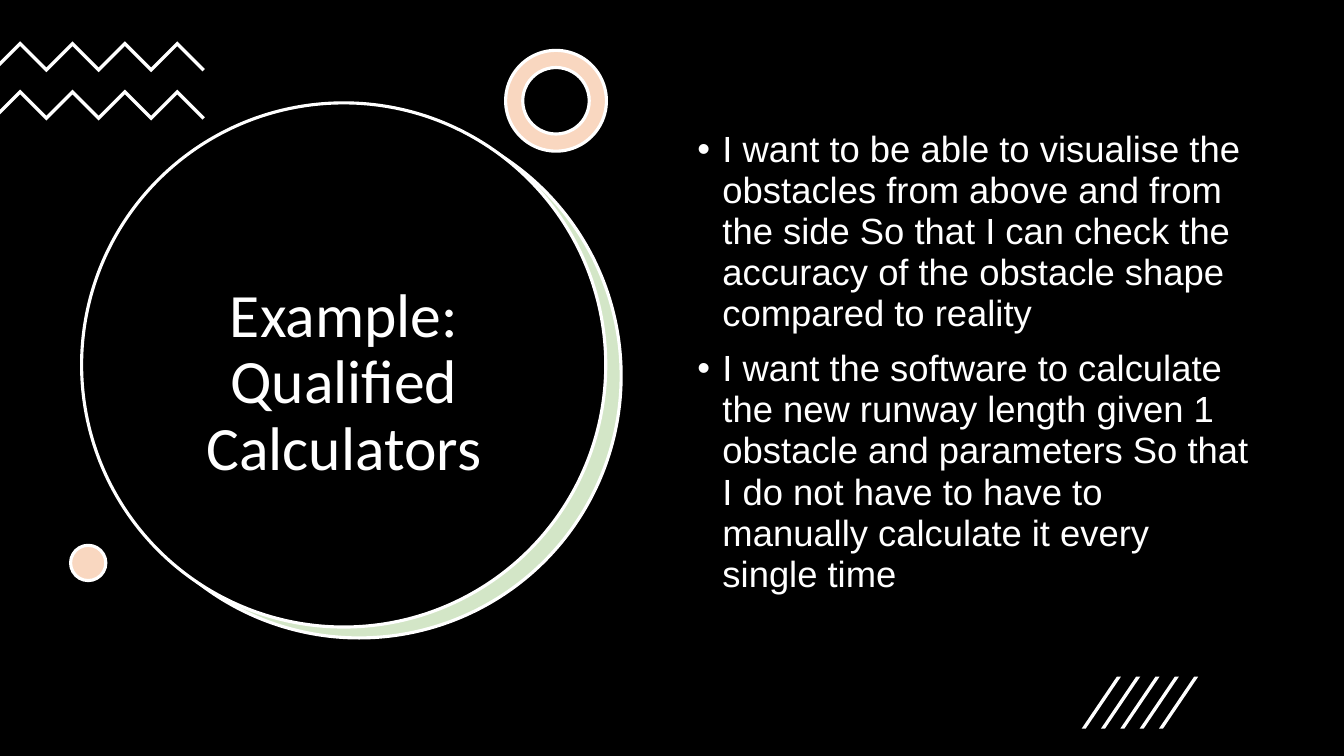
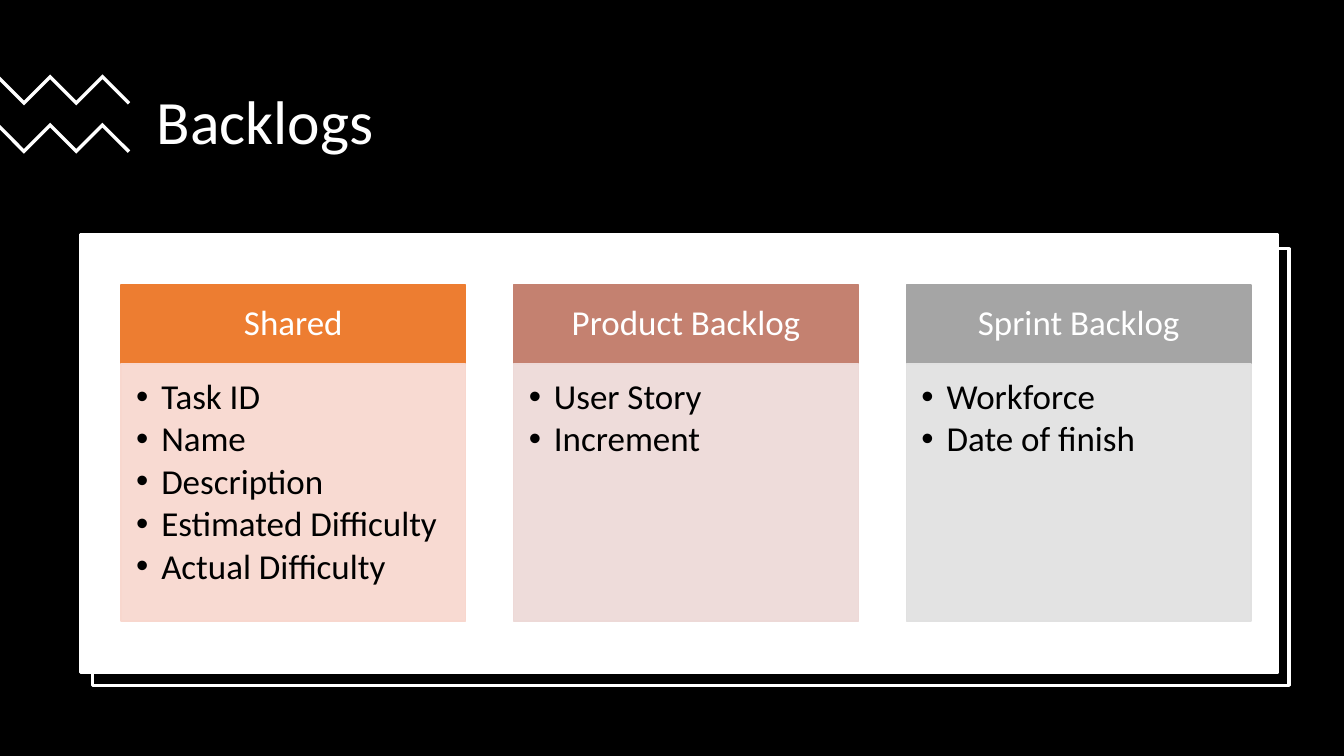
from dataclasses import dataclass

from lxml import etree
from pptx import Presentation, slide as sld, util as u
from pptx.dml import color
from pptx.enum import shapes, text
from pptx.oxml import ns
from pptx.shapes import autoshape as auto

Pt = u.Pt
KIND = shapes.MSO_SHAPE
HEX = {
    "black": "000000", "white": "FFFFFF", "green": "70AD47",
    "orange": "ED7D31", "peach": "F8D7CE", "clay": "C48170",
    "rose": "EDD9D7", "gray": "A5A5A5", "silver": "E1E1E1",
}
EDGE = 2.25


@dataclass(frozen=True)
class Box:
    left: float
    top: float
    width: float
    height: float


@dataclass(frozen=True)
class Style:
    size: float
    font: str = "Calibri"
    tone: str = "white"
    align: text.PP_ALIGN = text.PP_ALIGN.LEFT
    anchor: text.MSO_ANCHOR = text.MSO_ANCHOR.MIDDLE
    pitch: float = 0.9
    before: float = 0
    after: float = 0
    bullet: bool = False
    inset: tuple[float, float, float, float] = (7.2, 3.6, 7.2, 3.6)


@dataclass(frozen=True)
class Tint:
    kind: shapes.MSO_SHAPE
    box: Box
    tone: str


@dataclass(frozen=True)
class Card:
    title: str
    items: tuple[str, ...]
    tone: str
    pale: str


TITLE = Style(44)
ROUND = Style(44, align=text.PP_ALIGN.CENTER)
STORY = Style(26, "Arial", anchor=text.MSO_ANCHOR.TOP, pitch=0.94,
              before=10, bullet=True)
HEAD = Style(25, align=text.PP_ALIGN.CENTER, inset=(13.7, 7.9, 13.7, 7.9))
LIST = Style(25, tone="black", anchor=text.MSO_ANCHOR.TOP, after=3.3,
             bullet=True, inset=(10.8, 10.8, 13.7, 15.8))

STORIES = (
    "I want to be able to visualise the obstacles from above and from the side "
    "So that I can check the accuracy of the obstacle shape compared to reality",
    "I want the software to calculate the new runway length given 1 obstacle and "
    "parameters So that I do not have to have to manually calculate it every single time",
)
RING = Tint(KIND.DONUT, Box(361.2, 36, 72, 72), "orange")
DOT = Tint(KIND.OVAL, Box(50.4, 389.5, 25.2, 25.2), "orange")
MOON = Tint(KIND.OVAL, Box(69.3, 81.3, 374.4, 374.4), "green")
CARDS = (
    Card("Shared", ("Task ID", "Name", "Description", "Estimated Difficulty",
                    "Actual Difficulty"), "orange", "peach"),
    Card("Product Backlog", ("User Story", "Increment"), "clay", "rose"),
    Card("Sprint Backlog", ("Workforce", "Date of finish"), "gray", "silver"),
)


def rgb(tone: str) -> color.RGBColor:
    return color.RGBColor.from_string(HEX[tone])


def paint(shape: auto.Shape, fill: str, line: str | None = None,
          width: float = EDGE, alpha: int = 100) -> None:
    shape.shadow.inherit = False
    shape.fill.solid()
    shape.fill.fore_color.rgb = rgb(fill)
    if alpha < 100:
        tone = shape._element.spPr.find(ns.qn("a:solidFill"))[0]
        etree.SubElement(tone, ns.qn("a:alpha"), val=str(alpha * 1000))
    if line:
        shape.line.color.rgb = rgb(line)
        shape.line.width = Pt(width)
    else:
        shape.line.fill.background()


def place(page: sld.Slide, kind: shapes.MSO_SHAPE, box: Box, fill: str,
          line: str | None = None, width: float = EDGE,
          alpha: int = 100) -> auto.Shape:
    shape = page.shapes.add_shape(kind, Pt(box.left), Pt(box.top),
                                  Pt(box.width), Pt(box.height))
    paint(shape, fill, line, width, alpha)
    return shape


def write(shape: auto.Shape, lines: tuple[str, ...], style: Style) -> None:
    frame = shape.text_frame
    frame.word_wrap = True
    frame.vertical_anchor = style.anchor
    (frame.margin_left, frame.margin_top,
     frame.margin_right, frame.margin_bottom) = map(Pt, style.inset)
    frame.text = "\n".join(lines)
    for para in frame.paragraphs:
        para.alignment = style.align
        para.line_spacing = style.pitch
        para.space_before = Pt(style.before)
        para.space_after = Pt(style.after)
        if style.bullet:
            props = para._p.get_or_add_pPr()
            props.set("marL", str(Pt(18)))
            props.set("indent", str(-Pt(18)))
            etree.SubElement(props, ns.qn("a:buFont"), typeface="Arial")
            etree.SubElement(props, ns.qn("a:buChar"), char="•")
        for run in para.runs:
            run.font.name = style.font
            run.font.size = Pt(style.size)
            run.font.color.rgb = rgb(style.tone)


def label(page: sld.Slide, box: Box, lines: tuple[str, ...], style: Style) -> None:
    shape = page.shapes.add_textbox(Pt(box.left), Pt(box.top),
                                    Pt(box.width), Pt(box.height))
    write(shape, lines, style)


def trace(page: sld.Slide, points: list[tuple[float, float]]) -> None:
    spots = [(Pt(x), Pt(y)) for x, y in points]
    pen = page.shapes.build_freeform(*spots[0])
    pen.add_line_segments(spots[1:], close=True)
    paint(pen.convert_to_shape(), "white")


def waves(page: sld.Slide, top: float, first: float, turns: int) -> None:
    step, thick, tail, gap = 18.7, 3.4, 19.8, 34.5
    odd = turns % 2 == 1
    for row in range(2):
        high = top + row * gap
        edge = [(0, high + (first if odd else step - first))]
        for i in range(turns):
            peak = (turns - 1 - i) % 2 == 0
            edge.append((first + i * step, high if peak else high + step))
        end = edge[-1][0] + tail
        base = [(x, y + thick) for x, y in reversed(edge)]
        tips = [(end, high + tail),
                (end - thick / 2, high + tail + thick / 2)]
        trace(page, edge + tips + base)


def hatch(page: sld.Slide) -> None:
    low, high, lean, thick, step = 520.5, 483.3, 25.2, 2.9, 13.8
    for i in range(5):
        x = 772.6 + i * step
        trace(page, [(x, low), (x + lean, high),
                     (x + lean + thick, high), (x + thick, low)])


def glow(page: sld.Slide, tint: Tint) -> None:
    for fill, line, alpha in (("white", None, 100), (tint.tone, "white", 30)):
        shape = place(page, tint.kind, tint.box, fill, line, alpha=alpha)
        if tint.kind == KIND.DONUT:
            shape.adjustments[0] = 0.17


def start(deck: Presentation) -> sld.Slide:
    page = deck.slides.add_slide(deck.slide_layouts[6])
    page.background.fill.solid()
    page.background.fill.fore_color.rgb = rgb("black")
    return page


def example(deck: Presentation) -> None:
    page = start(deck)
    glow(page, MOON)
    place(page, KIND.OVAL, Box(58.3, 73.5, 374.4, 374.4), "black", "white")
    label(page, Box(87, 147.6, 317.5, 253.4),
          ("Example: Qualified Calculators",), ROUND)
    waves(page, 29.5, 14.4, 7)
    glow(page, RING)
    glow(page, DOT)
    label(page, Box(491, 89.3, 411, 342.7), STORIES, STORY)
    hatch(page)


def backlogs(deck: Presentation) -> None:
    page = start(deck)
    label(page, Box(105, 44.6, 767.5, 88.6), ("Backlogs",), TITLE)
    waves(page, 53.2, 17.1, 4)
    place(page, KIND.RECTANGLE, Box(66.2, 177.8, 854.6, 311.8), "black", "white")
    place(page, KIND.RECTANGLE, Box(57.6, 167.4, 854.6, 313.2), "white", "white")
    for i, card in enumerate(CARDS):
        left = 86.4 + i * 280.5
        head = place(page, KIND.RECTANGLE, Box(left, 203.6, 246.2, 56.5),
                     card.tone, card.tone, 1)
        write(head, (card.title,), HEAD)
        body = place(page, KIND.RECTANGLE, Box(left, 260.1, 246.2, 183.6),
                     card.pale, card.pale, 1, 90)
        write(body, card.items, LIST)


def main() -> None:
    deck = Presentation()
    deck.slide_width, deck.slide_height = Pt(960), Pt(540)
    example(deck)
    backlogs(deck)
    deck.save("out.pptx")


if __name__ == "__main__":
    main()
